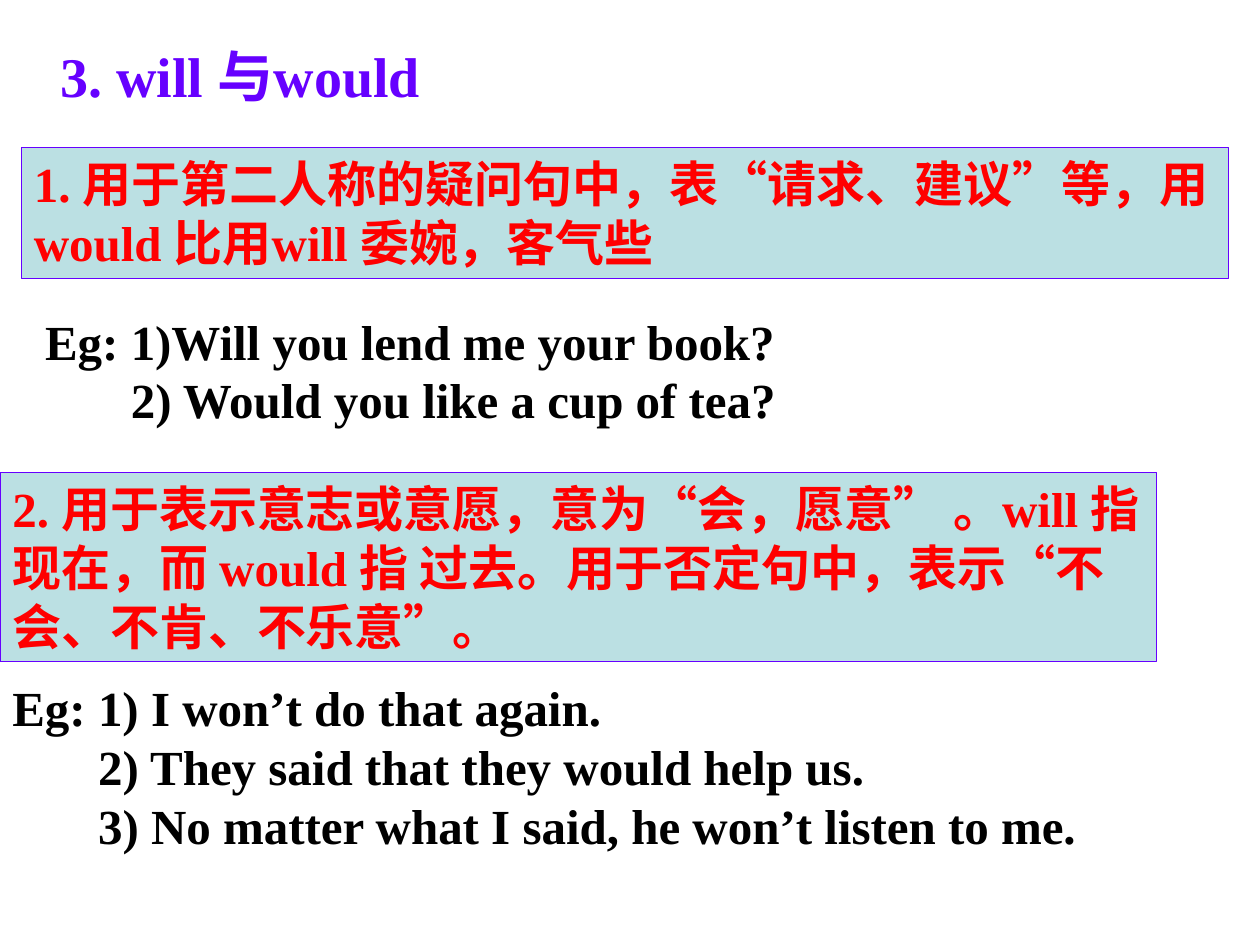
from pptx import Presentation
from pptx.dml.color import RGBColor
from pptx.enum.shapes import MSO_SHAPE as Shape
from pptx.enum.text import MSO_ANCHOR as Anchor, MSO_AUTO_SIZE as AutoSize, PP_ALIGN as Align
from pptx.util import Inches, Pt

COLORS = {"violet": "6600FF", "red": "FF0000", "black": "000000", "pale": "BBE0E3"}
FONT = "Times New Roman"
COLUMNS, ROWS = 40, 30
WIDTH, HEIGHT = Inches(10), Inches(7.5)
ITEM_INDENT = Inches(0.68)


def color(name):
    return RGBColor.from_string(COLORS[name])


def grid_box(left, top, columns, rows):
    column, row = WIDTH / COLUMNS, HEIGHT / ROWS
    return [round(length) for length in (left * column, top * row, columns * column, rows * row)]


def write(shape, *lines, ink="black", size=28, wrap=True, indent=0):
    frame = shape.text_frame
    frame.word_wrap = wrap
    frame.auto_size = AutoSize.NONE
    frame.vertical_anchor = Anchor.TOP
    for index, line in enumerate(lines):
        paragraph = frame.add_paragraph() if index else frame.paragraphs[0]
        paragraph.alignment = Align.LEFT
        if index and indent:
            properties = paragraph._p.get_or_add_pPr()
            properties.set("marL", str(indent))
            properties.set("indent", "0")
        run = paragraph.add_run()
        run.text = line
        run.font.name = FONT
        run.font.size = Pt(size)
        run.font.bold = True
        run.font.color.rgb = color(ink)


def place_title(slide, box, text):
    title = slide.shapes.title
    title.left, title.top, title.width, title.height = grid_box(*box)
    write(title, text, ink="violet", size=32, wrap=False)


def add_rule(slide, box, text):
    panel = slide.shapes.add_shape(Shape.RECTANGLE, *grid_box(*box))
    panel.shadow.inherit = False
    panel.fill.solid()
    panel.fill.fore_color.rgb = color("pale")
    panel.line.color.rgb = color("violet")
    panel.line.width = Pt(0.75)
    write(panel, text, ink="red")


def add_examples(slide, box, *sentences):
    examples = slide.shapes.add_textbox(*grid_box(*box))
    write(examples, *sentences, indent=ITEM_INDENT)


def main():
    presentation = Presentation()
    presentation.slide_width, presentation.slide_height = WIDTH, HEIGHT
    slide = presentation.slides.add_slide(presentation.slide_layouts[5])

    place_title(slide, (1.52, 1.12, 13.52, 2.56), "3. will 与would")
    add_rule(slide, (0.68, 4.68, 38.32, 4.16),
             "1. 用于第二人称的疑问句中，表“请求、建议”等，用 would 比用will 委婉，客气些")
    add_examples(slide, (1.04, 9.68, 24.08, 4.16),
                 "Eg: 1)Will you lend me your book?",
                 "2) Would you like a cup of tea?")
    add_rule(slide, (0, 15, 36.72, 6),
             "2. 用于表示意志或意愿，意为“会，愿意” 。will 指现在，而 would 指 过去。"
             "用于否定句中，表示“不会、不肯、不乐意”。")
    add_examples(slide, (0, 21.32, 37, 6),
                 "Eg: 1) I won’t do that again.",
                 "2) They said that they would help us.",
                 "3) No matter what I said, he won’t listen to me.")
    presentation.save("out.pptx")


if __name__ == "__main__":
    main()
